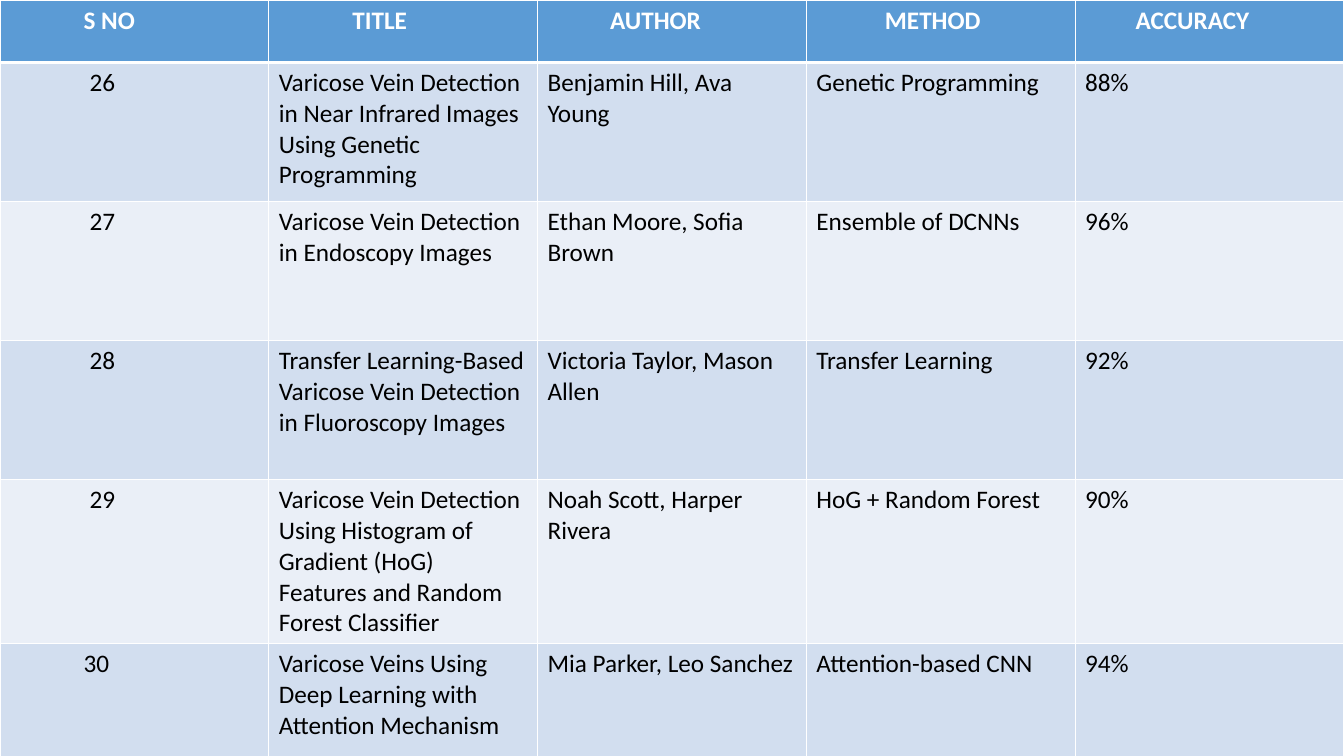
import pptx
import pptx.util
import pptx.dml.color
import lxml.etree
from dataclasses import dataclass
from pptx.util import Inches


@dataclass(frozen=True)
class Theme:
    font: str = "Calibri"
    size: int = 18
    header_fill: str = "5B9BD5"
    header_text: str = "FFFFFF"
    body_text: str = "000000"
    bands: tuple = ("D2DEEF", "EAEFF7")
    border: str = "FFFFFF"
    thin: int = 1
    thick: int = 3


theme = Theme()
DRAWING = "{http://schemas.openxmlformats.org/drawingml/2006/main}"

headings = ["S NO", "TITLE", "AUTHOR", "METHOD", "ACCURACY"]
heading_indents = [0.83, 0.83, 0.72, 0.78, 0.6]
studies = [
    ("26", "Varicose Vein Detection in Near Infrared Images Using Genetic Programming",
     "Benjamin Hill, Ava Young", "Genetic Programming", "88%"),
    ("27", "Varicose Vein Detection in Endoscopy Images",
     "Ethan Moore, Sofia Brown", "Ensemble of DCNNs", "96%"),
    ("28", "Transfer Learning-Based Varicose Vein Detection in Fluoroscopy Images",
     "Victoria Taylor, Mason Allen", "Transfer Learning", "92%"),
    ("29", "Varicose Vein Detection Using Histogram of Gradient (HoG) Features and Random Forest Classifier",
     "Noah Scott, Harper Rivera", "HoG + Random Forest", "90%"),
    ("30", "Varicose Veins Using Deep Learning with Attention Mechanism",
     "Mia Parker, Leo Sanchez", "Attention-based CNN", "94%"),
]
number_indents = [0.89, 0.89, 0.89, 0.89, 0.83]


def set_borders(cell, top, bottom):
    properties = cell._tc.get_or_add_tcPr()
    widths = {"lnL": theme.thin, "lnR": theme.thin, "lnT": top, "lnB": bottom}
    for position, (side, width) in enumerate(widths.items()):
        line = lxml.etree.Element(DRAWING + side, w=str(pptx.util.Pt(width)))
        fill = lxml.etree.SubElement(line, DRAWING + "solidFill")
        lxml.etree.SubElement(fill, DRAWING + "srgbClr", val=theme.border)
        properties.insert(position, line)


def fill_cell(cell, text, fill, color, bold, indent):
    cell.fill.solid()
    cell.fill.fore_color.rgb = pptx.dml.color.RGBColor.from_string(fill)
    cell.margin_left = Inches(indent)
    cell.text = text
    font = cell.text_frame.paragraphs[0].font
    font.name = theme.font
    font.size = pptx.util.Pt(theme.size)
    font.bold = bold
    font.color.rgb = pptx.dml.color.RGBColor.from_string(color)


presentation = pptx.Presentation()
presentation.slide_width = Inches(13.33)
presentation.slide_height = Inches(7.5)
slide = presentation.slides.add_slide(presentation.slide_layouts[6])

survey = slide.shapes.add_table(
    len(studies) + 1, len(headings), 0, 0, Inches(13.33), Inches(7.52)
).table
for column in survey.columns:
    column.width = Inches(13.33 / len(headings))
for row in survey.rows:
    row.height = Inches(1.38)
survey.rows[0].height = Inches(0.62)

for column, (heading, indent) in enumerate(zip(headings, heading_indents)):
    cell = survey.cell(0, column)
    fill_cell(cell, heading, theme.header_fill, theme.header_text, True, indent)
    set_borders(cell, theme.thin, theme.thick)

for index, (study, number_indent) in enumerate(zip(studies, number_indents)):
    for column, value in enumerate(study):
        cell = survey.cell(index + 1, column)
        indent = number_indent if column == 0 else 0.1
        fill_cell(cell, value, theme.bands[index % 2], theme.body_text, False, indent)
        set_borders(cell, theme.thick if index == 0 else theme.thin, theme.thin)

presentation.save("out.pptx")
